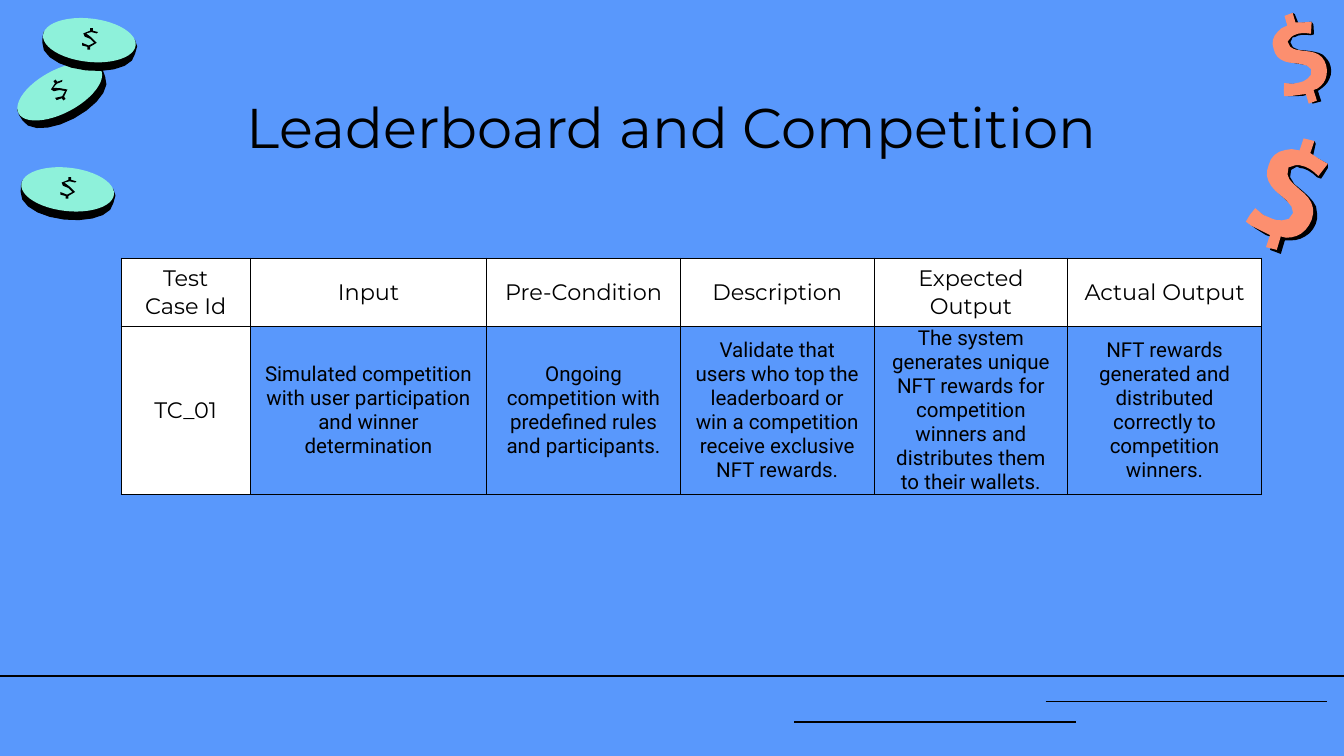
from math import cos, dist, radians, sin

from lxml.etree import SubElement
from pptx import Presentation
from pptx.dml.color import RGBColor
from pptx.enum.shapes import MSO_CONNECTOR, MSO_SHAPE
from pptx.enum.text import MSO_ANCHOR, MSO_AUTO_SIZE, PP_ALIGN
from pptx.oxml import parse_xml
from pptx.oxml.ns import nsdecls, qn
from pptx.util import Cm, Pt

BLACK = RGBColor(0x00, 0x00, 0x00)
WHITE = RGBColor(0xFF, 0xFF, 0xFF)
BLUE = RGBColor(0x59, 0x98, 0xFC)
MINT = RGBColor(0x8E, 0xF1, 0xDA)
CORAL = RGBColor(0xFC, 0x8F, 0x6F)

# Outlines in hundredths of an inch: a start point, then lines (2 numbers)
# and cubic curves (6 numbers).
COIN_PIVOT = (50.5, 41)
COIN_RIM = [
    (52, 31), (37, 30, 23, 29, 17, 35), (16, 36, 16, 41, 16, 43),
    (15, 52, 29, 61, 48, 63), (67, 65, 83, 60, 84, 51),
    (85, 48, 87, 43, 84, 41), (79, 35, 65, 33, 52, 31),
]
COIN_SIGN = [
    (51, 32), (51, 34), (48, 34, 46, 35, 46, 36), (46, 38, 47, 39, 51, 40),
    (53, 41, 54, 42, 54, 43), (54, 44, 52, 45, 50, 45), (45, 43), (45, 45),
    (49, 46), (49, 48), (51, 48), (51, 46), (54, 46, 56, 45, 56, 43),
    (57, 41, 55, 40, 52, 39), (49, 38, 48, 38, 48, 36),
    (49, 36, 50, 35, 52, 35), (56, 36), (57, 35), (53, 34), (53, 32),
]
DOLLAR_PIVOT = (57.5, 44.5)
DOLLAR_SHADOW = [
    (73, 5), (70, 14), (63, 13), (60, 13, 58, 14, 55, 15),
    (49, 18, 45, 25, 45, 31), (46, 42, 56, 47, 62, 54), (64, 57),
    (66, 63, 62, 66, 57, 66), (55, 66), (48, 65, 42, 62, 37, 58),
    (33, 62), (30, 67), (34, 70), (42, 75), (48, 77), (45, 86), (53, 89),
    (56, 79), (60, 79), (64, 79, 68, 78, 71, 76), (77, 73, 81, 65, 80, 59),
    (80, 55, 79, 52, 77, 50), (73, 45, 68, 41, 63, 37),
    (58, 33, 59, 24, 65, 24), (67, 25), (71, 25, 76, 28, 80, 32), (83, 33),
    (85, 30), (88, 25), (88, 22), (77, 16), (79, 7), (78, 5),
]
DOLLAR_FRONT = [
    (70, 3), (67, 12), (61, 11), (58, 11, 55, 12, 52, 13),
    (48, 15, 45, 18, 44, 23), (41, 30, 43, 36, 49, 42),
    (53, 46, 69, 56, 59, 63), (54, 64), (51, 64, 49, 64, 47, 63),
    (40, 60), (34, 55), (30, 60), (27, 65), (31, 68), (39, 72), (45, 75),
    (42, 84), (50, 86), (53, 76), (57, 77), (61, 77, 65, 76, 68, 74),
    (74, 70, 78, 62, 77, 55), (76, 49, 72, 45, 67, 41),
    (64, 38, 59, 35, 58, 30), (56, 25, 60, 23, 64, 23), (67, 23),
    (73, 24, 77, 27, 81, 31), (88, 22), (81, 18), (75, 14), (78, 5),
]

HEADERS = ["Test Case Id", "Input", "Pre-Condition", "Description",
           "Expected Output", "Actual Output"]
TEST_CASE = [
    "TC_01",
    "Simulated competition with user participation and winner determination",
    "Ongoing competition with predefined rules and participants.",
    "Validate that users who top the leaderboard or win a competition "
    "receive exclusive NFT rewards.",
    "The system generates unique NFT rewards for competition winners and "
    "distributes them to their wallets.",
    "NFT rewards generated and distributed correctly to competition winners.",
]

prs = Presentation()
prs.slide_width, prs.slide_height = Cm(25.4), Cm(14.29)
slide = prs.slides.add_slide(prs.slide_layouts[5])
slide.background.fill.solid()
slide.background.fill.fore_color.rgb = BLUE


def draw_outline(outline, pivot, centre, color, angle=0, scale=1):
    """Fill an outline, turned about its pivot, with the pivot at centre (cm)."""
    corners = [outline[0]]
    for segment in outline[1:]:
        if len(segment) == 2:
            corners.append(segment)
            continue
        start, ends = corners[-1], (segment[:2], segment[2:4], segment[4:])
        steps = max(1, min(5, round(dist(start, ends[2]) / 4)))
        for t in [step / steps for step in range(1, steps + 1)]:
            weights = ((1 - t) ** 3, 3 * t * (1 - t) ** 2,
                       3 * t * t * (1 - t), t ** 3)
            corners.append(tuple(
                sum(w * p[axis] for w, p in zip(weights, (start, *ends)))
                for axis in (0, 1)))
    unit = Cm(2.54) / 100 * scale
    c, s = cos(radians(angle)), sin(radians(angle))
    placed = []
    for x, y in corners:
        dx, dy = x - pivot[0], y - pivot[1]
        placed.append((round(Cm(centre[0]) + unit * (dx * c - dy * s)),
                       round(Cm(centre[1]) + unit * (dx * s + dy * c))))
    builder = slide.shapes.build_freeform(*placed[0])
    builder.add_line_segments(placed[1:], close=True)
    shape = builder.convert_to_shape()
    shape.shadow.inherit = False
    shape.fill.solid()
    shape.fill.fore_color.rgb = color
    shape.line.fill.background()
    return shape


def write(frame, text, font_name, size):
    paragraph = frame.paragraphs[0]
    paragraph.alignment = PP_ALIGN.CENTER
    run = paragraph.add_run()
    run.text = text
    run.font.name, run.font.size = font_name, Pt(size)
    run.font.color.rgb = BLACK


# Footer rules
for left, right, y in [(0, 25.4, 12.78), (19.76, 25.07, 13.26),
                       (15.01, 20.34, 13.65)]:
    rule = slide.shapes.add_connector(
        MSO_CONNECTOR.STRAIGHT, Cm(left), Cm(y), Cm(right), Cm(y))
    rule.line.color.rgb = BLACK
    rule.line.width = Pt(0.75)
    SubElement(rule._element.spPr, qn("a:effectLst"))

# Coins and dollar signs
for centre, angle in [((1.13, 1.73), -34.3), ((1.28, 3.58), 0),
                      ((1.69, 0.76), 0)]:
    rim = draw_outline(COIN_RIM, COIN_PIVOT, centre, BLACK, angle)
    rim.line.color.rgb = BLACK
    rim.line.width = Pt(0.75)
    face = slide.shapes.add_shape(
        MSO_SHAPE.OVAL, Cm(centre[0] - 0.88), Cm(centre[1] - 0.41),
        Cm(1.76), Cm(0.82))
    face.rotation = angle + 6.4
    face.shadow.inherit = False
    face.fill.solid()
    face.fill.fore_color.rgb = MINT
    face.line.fill.background()
    draw_outline(COIN_SIGN, COIN_PIVOT, centre, BLACK, angle)

for centre, angle, scale in [((24.32, 3.67), 0, 1), ((24.54, 1.13), -34.5, 0.79)]:
    draw_outline(DOLLAR_SHADOW, DOLLAR_PIVOT, centre, BLACK, angle, scale)
    draw_outline(DOLLAR_FRONT, DOLLAR_PIVOT, centre, CORAL, angle, scale)

# Title
title = slide.shapes.title
title.left, title.top, title.width, title.height = (
    Cm(2), Cm(1.5), Cm(21.4), Cm(1.6))
frame = title.text_frame
frame.word_wrap = True
frame.auto_size = MSO_AUTO_SIZE.NONE
frame.vertical_anchor = MSO_ANCHOR.TOP
frame.margin_left = frame.margin_right = Cm(0.25)
frame.margin_top = frame.margin_bottom = Cm(0.25)
write(frame, "Leaderboard and Competition", "Montserrat", 30)

# Test case table
table = slide.shapes.add_table(
    2, 6, Cm(2.29), Cm(4.88), Cm(21.55), Cm(4.46)).table
table.first_row = table.horz_banding = False
for column, width in zip(table.columns, [2.44, 4.47] + [3.66] * 4):
    column.width = Cm(width)
for row, height in zip(table.rows, [1.29, 3.17]):
    row.height = Cm(height)

for r, texts in enumerate([HEADERS, TEST_CASE]):
    for c, text in enumerate(texts):
        cell = table.cell(r, c)
        is_label = r == 0 or c == 0
        cell.vertical_anchor = MSO_ANCHOR.MIDDLE
        cell.margin_left = cell.margin_right = Cm(0.25)
        cell.margin_top = cell.margin_bottom = Cm(0 if r else 0.13)
        write(cell.text_frame, text, *(("Montserrat", 12) if is_label
                                       else ("Roboto", 11)))
        for side in ("lnL", "lnR", "lnT", "lnB"):
            cell._tc.get_or_add_tcPr().append(parse_xml(
                f'<a:{side} {nsdecls("a")} w="9525"><a:solidFill>'
                f'<a:srgbClr val="{BLACK}"/></a:solidFill></a:{side}>'))
        if is_label:
            cell.fill.solid()
            cell.fill.fore_color.rgb = WHITE
        else:
            cell.fill.background()

prs.save("out.pptx")
